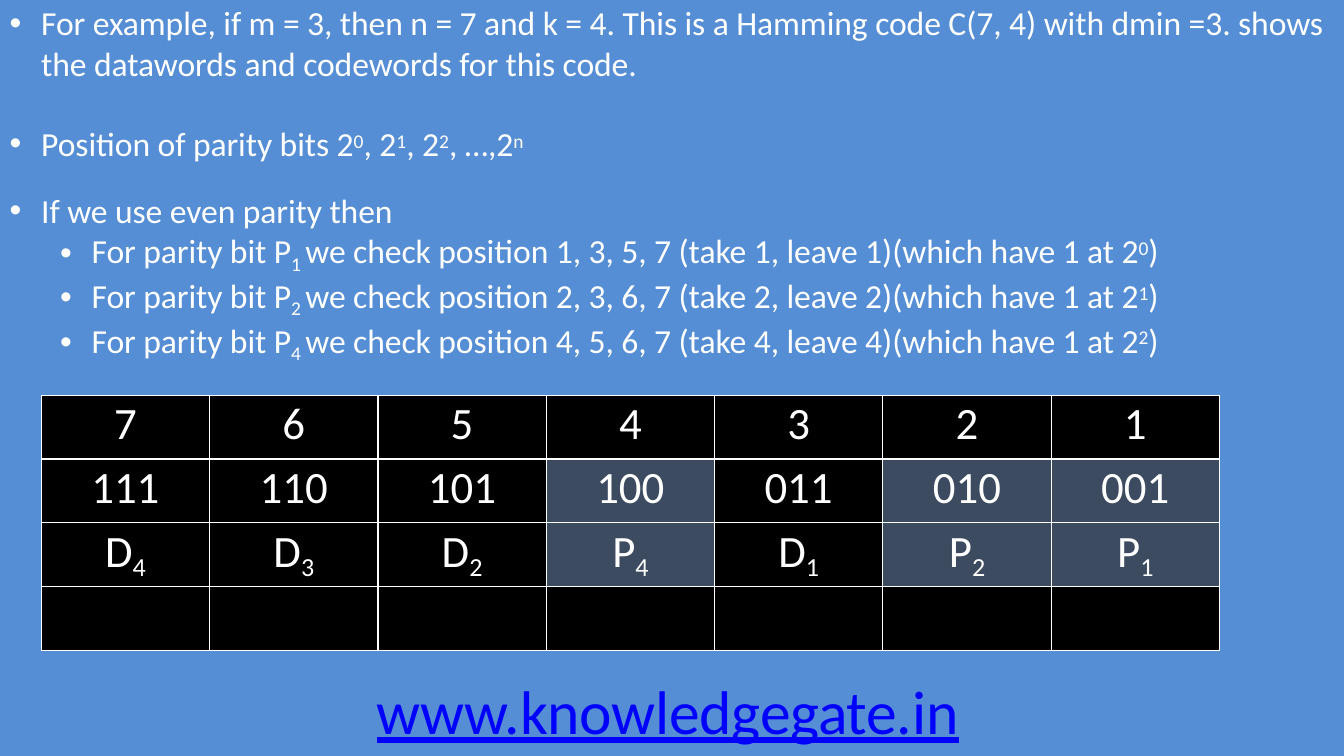
from pptx import Presentation
from pptx.dml.color import RGBColor
from pptx.enum.text import MSO_AUTO_SIZE, PP_ALIGN
from pptx.oxml import parse_xml
from pptx.oxml.ns import nsdecls
from pptx.util import Pt

HUE = {"back": "558ED5", "text": "FFFFFF", "link": "0000FF",
       "data": "000000", "check": "3C4B5F"}
BASE = {"^": "24000", "_": "-21000"}


def write(par, text, size, hue="text", gap=0, **more):
    """Add runs split at |; ^ raises a run and _ lowers it."""
    for part in text.split("|"):
        run = par.add_run()
        run.text = part.lstrip("^_")
        look = {"size": Pt(size), "name": "Calibri", **more}
        for key, val in look.items():
            setattr(run.font, key, val)
        run.font.color.rgb = RGBColor.from_string(HUE[hue])
        props = run._r.get_or_add_rPr()
        props.set("spc", str(gap))
        if part[0] in BASE:
            props.set("baseline", BASE[part[0]])


def add_box(left, top, width, height, inset=0):
    box = slide.shapes.add_textbox(Pt(left), Pt(top), Pt(width), Pt(height))
    form = {"margin_left": 0, "margin_right": 0, "margin_bottom": 0,
            "margin_top": Pt(inset), "word_wrap": True,
            "auto_size": MSO_AUTO_SIZE.SHAPE_TO_FIT_TEXT}
    for key, val in form.items():
        setattr(box.text_frame, key, val)
    return box.text_frame


# Slide
deck = Presentation()
deck.slide_width, deck.slide_height = Pt(960), Pt(540)
slide = deck.slides.add_slide(deck.slide_layouts[6])
slide.background.fill.solid()
slide.background.fill.fore_color.rgb = RGBColor.from_string(HUE["back"])

# Bullets: level, space before, text
points = [
    (0, 0, "For example, if m = 3, then n = 7 and k = 4. This is a Hamming code "
           "C(7, 4) with dmin =3. shows the datawords and codewords for this code."),
    (0, 28.5, "Position of parity bits 2|^0|, 2|^1|, 2|^2|, …,2|^n"),
    (0, 19.2, "If we use even parity then"),
]
checks = [(1, "1, 3, 5, 7"), (2, "2, 3, 6, 7"), (4, "4, 5, 6, 7")]
for power, (bit, spots) in enumerate(checks):
    points.append((1, 0, f"For parity bit P|_{bit} |we check position {spots} "
                         f"(take {bit}, leave {bit})(which have 1 at 2|^{power}|)"))

frame = add_box(2.9, 0.7, 947.5, 252, 1)
for num, (level, before, text) in enumerate(points):
    par = frame.add_paragraph() if num else frame.paragraphs[0]
    props = par._p.get_or_add_pPr()
    props.set("marL", str(Pt(26.6 + 36 * level)))
    props.set("indent", str(Pt(-22.5)))
    for xml in (f'<a:buClr {nsdecls("a")}><a:srgbClr val="{HUE["text"]}"/></a:buClr>',
                f'<a:buFont {nsdecls("a")} typeface="Arial"/>',
                f'<a:buChar {nsdecls("a")} char="•"/>'):
        props.append(parse_xml(xml))
    par.level = level
    par.space_before = Pt(before)
    write(par, text, 24, gap=-5)

# Web address
par = add_box(269.3, 490.3, 421, 46).paragraphs[0]
par.line_spacing = Pt(42.9)
write(par, "www.knowledgegate.in", 44, "link", -20, underline=True)

# Table of positions
spots = range(7, 0, -1)
names = ["D|_4", "D|_3", "D|_2", "P|_4", "D|_1", "P|_2", "P|_1"]
rows = [[str(n) for n in spots], [f"{n:03b}" for n in spots], names, [""] * 7]
grid = slide.shapes.add_table(4, 7, Pt(29.5), Pt(282.3), Pt(841.68), Pt(182.16)).table
grid.first_row = grid.horz_banding = False
for col in grid.columns:
    col.width = Pt(120.24)
for row in grid.rows:
    row.height = Pt(45.54)

for r, row in enumerate(rows):
    for c, text in enumerate(row):
        cell = grid.cell(r, c)
        form = {"margin_left": 0, "margin_right": 0,
                "margin_top": Pt(1.4), "margin_bottom": 0}
        for key, val in form.items():
            setattr(cell, key, val)
        props = cell._tc.get_or_add_tcPr()
        for side in "LRTB":
            props.append(parse_xml(
                f'<a:ln{side} {nsdecls("a")} w="{Pt(1)}"><a:solidFill>'
                f'<a:srgbClr val="{HUE["text"]}"/></a:solidFill></a:ln{side}>'))
        kind = "check" if r in (1, 2) and names[c][0] == "P" else "data"
        cell.fill.solid()
        cell.fill.fore_color.rgb = RGBColor.from_string(HUE[kind])
        if text:
            par = cell.text_frame.paragraphs[0]
            par.alignment = PP_ALIGN.CENTER
            par.space_before = Pt(1.6)
            write(par, text, 32)

deck.save("out.pptx")
